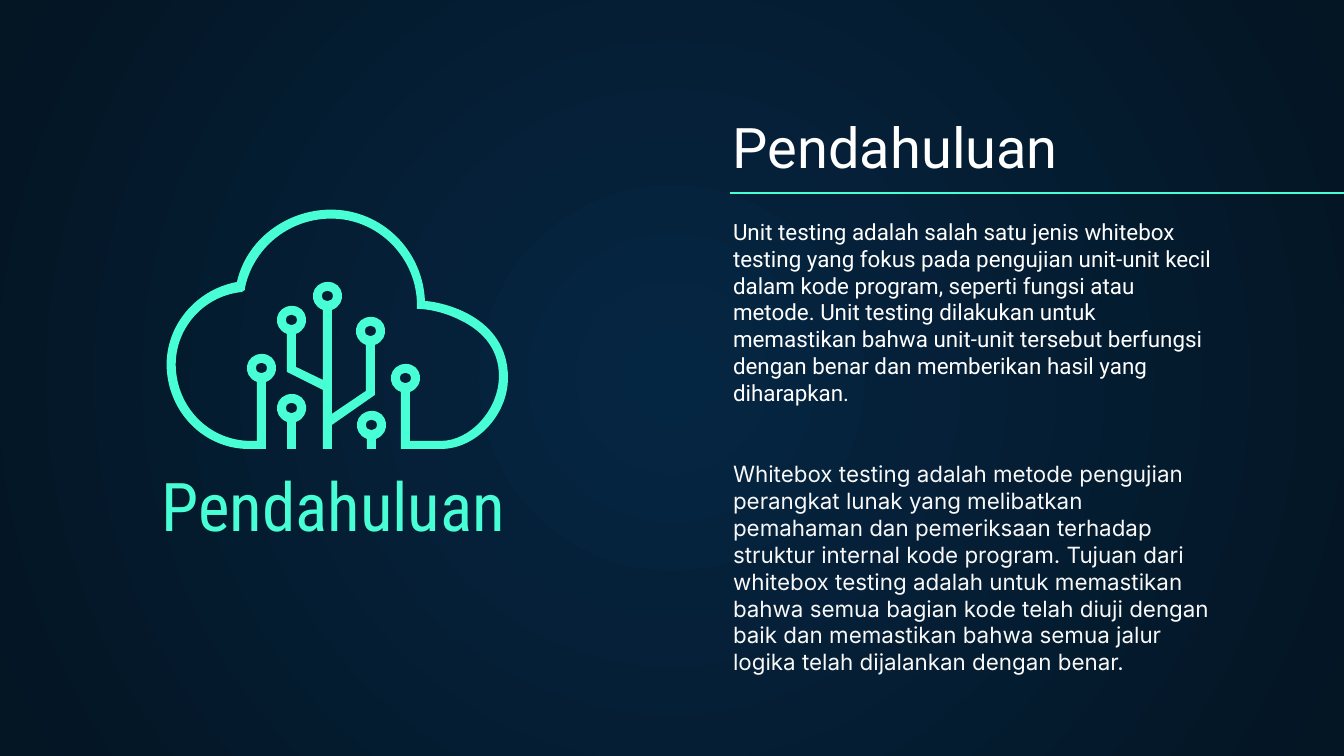
from collections import namedtuple

from lxml.etree import SubElement
from pptx import Presentation
from pptx.dml.color import RGBColor
from pptx.enum.shapes import MSO_CONNECTOR
from pptx.enum.text import MSO_ANCHOR, PP_ALIGN
from pptx.oxml.ns import qn
from pptx.util import Emu, Pt

EMU_PER_PX = 914400 / 134.4
MINT = RGBColor(0x48, 0xFF, 0xD5)
WHITE = RGBColor(0xFF, 0xFF, 0xFF)
OFF_WHITE = RGBColor(0xF8, 0xF8, 0xF8)
NAVY = RGBColor(0x05, 0x26, 0x43)
MIDNIGHT = RGBColor(0x04, 0x15, 0x23)

Node = namedtuple("Node", "x y")

UNIT_TESTING = (
    "Unit testing adalah salah satu jenis whitebox testing yang fokus pada pengujian "
    "unit-unit kecil dalam kode program, seperti fungsi atau metode. Unit testing dilakukan "
    "untuk memastikan bahwa unit-unit tersebut berfungsi dengan benar dan memberikan hasil "
    "yang diharapkan."
)
WHITEBOX_TESTING = (
    "Whitebox testing adalah metode pengujian perangkat lunak yang melibatkan pemahaman dan "
    "pemeriksaan terhadap struktur internal kode program. Tujuan dari whitebox testing adalah "
    "untuk memastikan bahwa semua bagian kode telah diuji dengan baik dan memastikan bahwa "
    "semua jalur logika telah dijalankan dengan benar."
)

NODE_RIM = [(5, 14), (21, 8, 17, -14, 1, -14), (-16, -14, -20, 8, -4, 14)]
NODE_HOLE = [(-5, 0), (-5, -7, 6, -7, 6, 0), (6, 7, -5, 7, -5, 0)]
CLOUD = [
    (259, 92), (257, 44, 220, 5, 173, 1), (126, -3, 81, 28, 71, 73),
    (28, 81, -3, 120, 1, 163), (5, 207, 41, 241, 85, 240),
    (100, 240), Node(95, 159), (91, 232), (85, 232),
    (45, 232, 13, 201, 10, 161), (7, 122, 36, 87, 76, 83), (79, 81), (79, 79),
    (88, 36, 128, 6, 173, 10), (217, 14, 251, 52, 251, 96), (251, 100), (255, 100),
    (268, 101, 282, 105, 294, 111), (319, 123, 333, 142, 333, 167),
    (333, 201, 304, 232, 275, 232),
    (244, 232), Node(239, 169), (235, 240), (275, 240),
    (310, 240, 342, 206, 342, 169), (342, 107, 276, 93, 259, 92),
]
BRANCHES = [
    (209, 186), Node(204, 122), (200, 182), (166, 205), Node(161, 87),
    (157, 171), (130, 158), Node(125, 111), (121, 163), (157, 181),
    (157, 240), (166, 240), (166, 216),
]
LEFT_SPROUT = [(130, 240), Node(125, 199), (121, 240)]
RIGHT_SPROUT = [(210, 240), Node(205, 216), (201, 240)]


def px(length):
    return Emu(round(length * EMU_PER_PX))


def shifted(steps, dx, dy):
    return [tuple(v + (dy if i % 2 else dx) for i, v in enumerate(step)) for step in steps]


def contours(steps):
    outline, holes = [], []
    for step in steps:
        if isinstance(step, Node):
            outline += shifted(NODE_RIM, *step)
            holes.append(shifted(NODE_HOLE, *step))
        else:
            outline.append(step)
    return [outline] + holes


def add_outline(slide, steps, left, top):
    builder, curved = None, []
    for contour in contours(steps):
        first, *rest = shifted(contour, left, top)
        start = [px(v) for v in first]
        if builder is None:
            builder = slide.shapes.build_freeform(*start)
        else:
            builder.move_to(*start)
        points = [(px(x), px(y)) for step in rest for x, y in zip(step[::2], step[1::2])]
        builder.add_line_segments(points, close=True)
        curved += [len(step) == 6 for step in rest]
    outline = builder.convert_to_shape()
    segments = iter(list(outline.element.iter(qn("a:lnTo"))))
    for is_curve in curved:
        segment = next(segments)
        if is_curve:
            segment.tag = qn("a:cubicBezTo")
            for _ in range(2):
                control = next(segments)
                segment.append(control[0])
                control.getparent().remove(control)
    outline.shadow.inherit = False
    outline.fill.solid()
    outline.fill.fore_color.rgb = MINT
    outline.line.fill.background()
    return outline


def add_cloud_icon(slide, left, top):
    parts = (BRANCHES, CLOUD, LEFT_SPROUT, RIGHT_SPROUT)
    slide.shapes.add_group_shape([add_outline(slide, part, left, top) for part in parts])


def add_text(slide, box, paragraphs, size, anchor=MSO_ANCHOR.TOP, align=PP_ALIGN.LEFT, gap=0):
    frame = slide.shapes.add_textbox(*map(px, box)).text_frame
    frame.word_wrap = True
    frame.vertical_anchor = anchor
    frame.margin_left = frame.margin_right = px(13)
    frame.margin_top = frame.margin_bottom = px(13)
    for index, (text, font, color) in enumerate(paragraphs):
        paragraph = frame.add_paragraph() if index else frame.paragraphs[0]
        paragraph.alignment = align
        if index:
            paragraph.space_before = Pt(gap)
        run = paragraph.add_run()
        run.text = text
        run.font.name = font
        run.font.size = Pt(size)
        run.font.color.rgb = color


def add_background(slide):
    fill = slide.background.fill
    fill.gradient()
    for stop, color in zip(fill.gradient_stops, (NAVY, MIDNIGHT)):
        stop.color.rgb = color
    gradient = slide.element.find(".//" + qn("a:gradFill"))
    gradient.remove(gradient.find(qn("a:lin")))
    shade = SubElement(gradient, qn("a:path"), path="circle")
    SubElement(shade, qn("a:fillToRect"), l="50000", t="50000", r="50000", b="50000")


def add_article(slide, left, top):
    add_text(slide, (left, top, 519, 89), [("Pendahuluan", "Roboto", WHITE)], 30,
             anchor=MSO_ANCHOR.BOTTOM)
    add_text(slide, (left, top + 101, 508, 503),
             [(UNIT_TESTING, "Roboto", WHITE), (WHITEBOX_TESTING, "Inter", OFF_WHITE)],
             12, gap=29)
    rule = slide.shapes.add_connector(MSO_CONNECTOR.STRAIGHT, px(left + 10), px(top + 89),
                                      px(left + 664), px(top + 89))
    rule.line.color.rgb = MINT
    rule.line.width = Pt(0.75)
    SubElement(rule.element.spPr, qn("a:effectLst"))


def add_emblem(slide, left, top):
    add_cloud_icon(slide, left + 30, top)
    add_text(slide, (left, top + 260, 395, 89), [("Pendahuluan", "Roboto Condensed", MINT)],
             36, anchor=MSO_ANCHOR.BOTTOM, align=PP_ALIGN.CENTER)


def main():
    presentation = Presentation()
    presentation.slide_width, presentation.slide_height = px(1344), px(756)
    slide = presentation.slides.add_slide(presentation.slide_layouts[6])
    add_background(slide)
    add_article(slide, 720, 104)
    add_emblem(slide, 136, 209)
    presentation.save("out.pptx")


if __name__ == "__main__":
    main()
